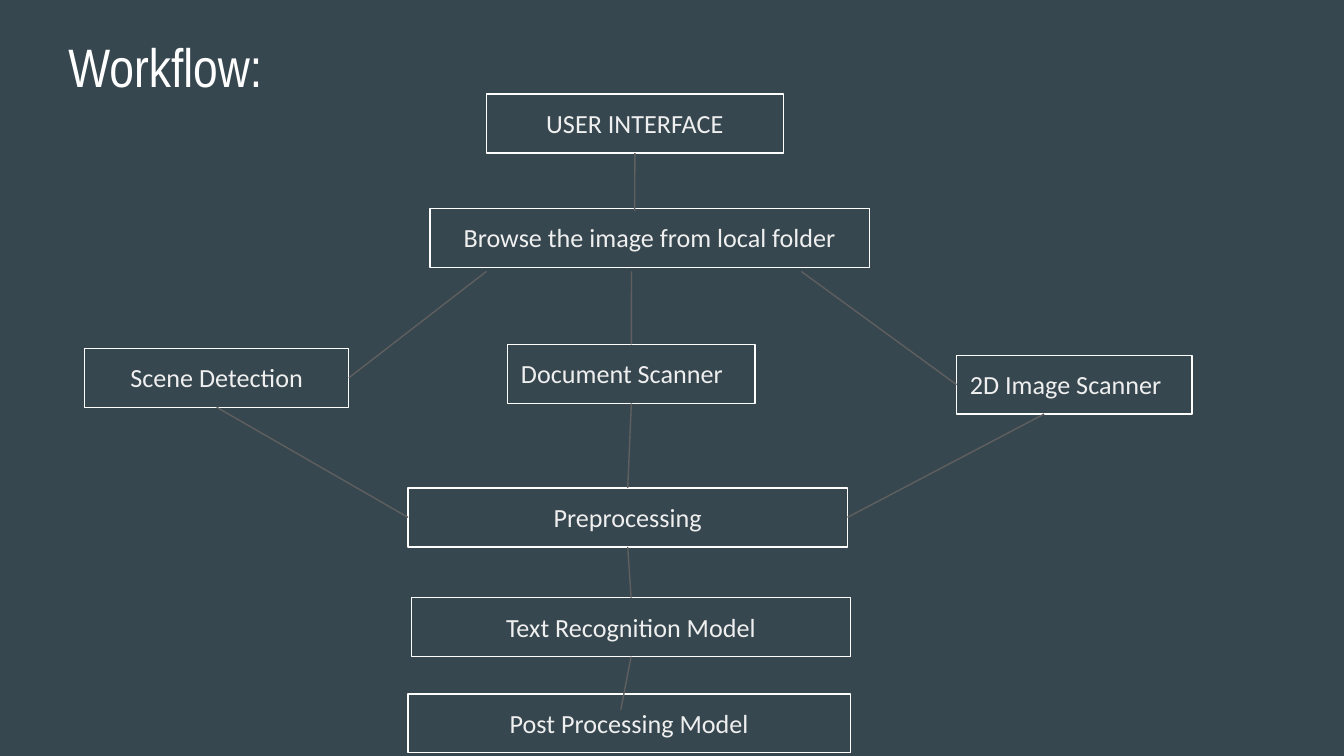
from pptx import Presentation
from pptx.dml.color import RGBColor
from pptx.enum.shapes import MSO_CONNECTOR, MSO_SHAPE
from pptx.enum.text import MSO_ANCHOR, MSO_AUTO_SIZE, PP_ALIGN
from pptx.oxml.ns import qn
from pptx.util import Pt
from lxml.etree import SubElement

COLORS = {"background": "37474F", "outline": "FFFFFF", "title": "FFFFFF",
          "label": "EFEFEF", "link": "5F5F5F"}
TOP, LEFT, BOTTOM, RIGHT = 0, 1, 2, 3
BOX_HEIGHT = 31.6
INSET = 7.2
LINE_WIDTH = 0.75


class FlowSlide:
    def __init__(self, prs):
        self.s = prs.slides.add_slide(prs.slide_layouts[6])
        fill = self.s.background.fill
        fill.solid()
        fill.fore_color.rgb = self.color("background")

    def color(self, name):
        return RGBColor.from_string(COLORS[name])

    def set_text(self, sp, text, font, size, color, align):
        tf = sp.text_frame
        tf.text = text
        tf.word_wrap = True
        tf.auto_size = MSO_AUTO_SIZE.SHAPE_TO_FIT_TEXT
        tf.vertical_anchor = MSO_ANCHOR.TOP
        tf.margin_left = tf.margin_right = Pt(INSET)
        tf.margin_top = tf.margin_bottom = Pt(INSET)
        p = tf.paragraphs[0]
        p.alignment = align
        r = p.runs[0]
        r.font.name = font
        r.font.size = Pt(size)
        r.font.color.rgb = self.color(color)

    def title(self, text, x, y, w, h):
        sp = self.s.shapes.add_textbox(Pt(x), Pt(y), Pt(w), Pt(h))
        self.set_text(sp, text, "Arial Narrow", 29, "title", PP_ALIGN.LEFT)

    def box(self, text, x, y, w, align=PP_ALIGN.CENTER):
        sp = self.s.shapes.add_shape(MSO_SHAPE.RECTANGLE, Pt(x), Pt(y), Pt(w), Pt(BOX_HEIGHT))
        sp.shadow.inherit = False
        sp.fill.background()
        sp.line.color.rgb = self.color("outline")
        sp.line.width = Pt(LINE_WIDTH)
        self.set_text(sp, text, "Calibri", 14, "label", align)
        return sp

    def link(self, start, end):
        """Draw a line; each end is a (box, side) pair or a free (x, y) point."""
        free = [(0, 0) if hasattr(e[0], "text_frame") else e for e in (start, end)]
        (x1, y1), (x2, y2) = free
        line = self.s.shapes.add_connector(MSO_CONNECTOR.STRAIGHT, Pt(x1), Pt(y1), Pt(x2), Pt(y2))
        if free[0] != start:
            line.begin_connect(*start)
        if free[1] != end:
            line.end_connect(*end)
        line.line.color.rgb = self.color("link")
        line.line.width = Pt(LINE_WIDTH)
        SubElement(line._element.spPr, qn("a:effectLst"))


def main():
    prs = Presentation()
    prs.slide_width, prs.slide_height = Pt(720), Pt(405)
    flow = FlowSlide(prs)

    interface = flow.box("USER INTERFACE", 260.6, 50.4, 159.1)
    flow.box("Browse the image from local folder", 230.4, 111.6, 235.4)
    scene = flow.box("Scene Detection", 45.3, 186.6, 141.6)
    document = flow.box("Document Scanner", 272, 184.5, 132.5, PP_ALIGN.LEFT)
    image = flow.box("2D Image Scanner", 512.5, 190.3, 126, PP_ALIGN.LEFT)
    preprocessing = flow.box("Preprocessing", 218.6, 261.4, 235.4)
    recognition = flow.box("Text Recognition Model", 220.4, 320.2, 235.4)
    flow.box("Post Processing Model", 218.6, 371.7, 237)
    flow.title("Workflow:", 29.5, 10.8, 386.6, 49.7)

    links = [
        ((interface, BOTTOM), (340, 113)),
        ((260.6, 145.4), (scene, RIGHT)),
        ((338.3, 145.4), (document, TOP)),
        ((429.2, 145.4), (image, LEFT)),
        ((document, BOTTOM), (preprocessing, TOP)),
        ((preprocessing, BOTTOM), (recognition, TOP)),
        ((recognition, BOTTOM), (332.6, 380.2)),
        ((scene, BOTTOM), (preprocessing, LEFT)),
        ((559.4, 221.8), (preprocessing, RIGHT)),
    ]
    for start, end in links:
        flow.link(start, end)

    prs.save("out.pptx")


if __name__ == "__main__":
    main()
